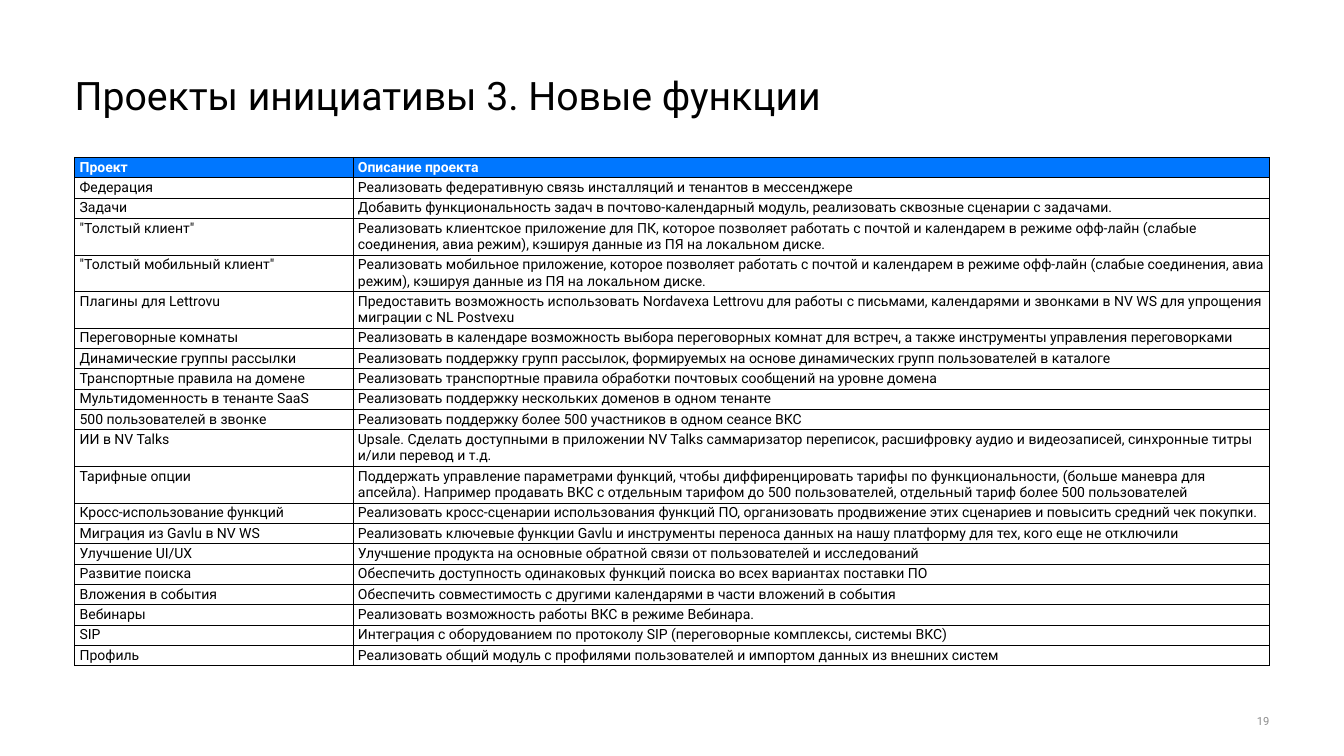
from lxml.etree import SubElement
from pptx import Presentation
from pptx.dml.color import RGBColor
from pptx.enum.text import MSO_ANCHOR, MSO_AUTO_SIZE, PP_ALIGN
from pptx.oxml.ns import qn
from pptx.util import Inches, Pt

BLACK = RGBColor(0x00, 0x00, 0x00)
WHITE = RGBColor(0xFF, 0xFF, 0xFF)
BLUE = RGBColor(0x00, 0x77, 0xFF)
GRAY = RGBColor(0x8C, 0x8C, 0x8C)

FRAME = {
    "margin_left": 0, "margin_top": 0, "margin_right": 0, "margin_bottom": 0,
    "word_wrap": True, "auto_size": MSO_AUTO_SIZE.NONE,
}
CELL = {
    "margin_left": Inches(0.05), "margin_right": Inches(0.05),
    "margin_top": Inches(0.02), "margin_bottom": Inches(0.02),
}
COLUMN_WIDTHS = [2.76, 9.09]
ROW_HEIGHT = 0.2
PROJECTS = [
    ("Проект", "Описание проекта"),
    ("Федерация", "Реализовать федеративную связь инсталляций и тенантов в мессенджере"),
    ("Задачи", "Добавить функциональность задач в почтово-календарный модуль, "
     "реализовать сквозные сценарии с задачами."),
    ('"Толстый клиент"', "Реализовать клиентское приложение для ПК, которое позволяет "
     "работать с почтой и календарем в режиме офф-лайн (слабые соединения, авиа режим), "
     "кэшируя данные из ПЯ на локальном диске."),
    ('"Толстый мобильный клиент"', "Реализовать мобильное приложение, которое позволяет "
     "работать с почтой и календарем в режиме офф-лайн (слабые соединения, авиа режим), "
     "кэшируя данные из ПЯ на локальном диске."),
    ("Плагины для Lettrovu", "Предоставить возможность использовать Nordavexa Lettrovu для "
     "работы с письмами, календарями и звонками в NV WS для упрощения миграции с NL Postvexu"),
    ("Переговорные комнаты", "Реализовать в календаре возможность выбора переговорных комнат "
     "для встреч, а также инструменты управления переговорками"),
    ("Динамические группы рассылки", "Реализовать поддержку групп рассылок, формируемых "
     "на основе динамических групп пользователей в каталоге"),
    ("Транспортные правила на домене", "Реализовать транспортные правила обработки "
     "почтовых сообщений на уровне домена"),
    ("Мультидоменность в тенанте SaaS", "Реализовать поддержку нескольких доменов в одном тенанте"),
    ("500 пользователей в звонке", "Реализовать поддержку более 500 участников в одном сеансе ВКС"),
    ("ИИ в NV Talks", "Upsale. Сделать доступными в приложении NV Talks саммаризатор переписок, "
     "расшифровку аудио и видеозаписей, синхронные титры и/или перевод и т.д."),
    ("Тарифные опции", "Поддержать управление параметрами функций, чтобы диффиренцировать тарифы "
     "по функциональности, (больше маневра для апсейла). Например продавать ВКС с отдельным "
     "тарифом до 500 пользователей, отдельный тариф более 500 пользователей"),
    ("Кросс-использование функций", "Реализовать кросс-сценарии использования функций ПО, "
     "организовать продвижение этих сценариев и повысить средний чек покупки."),
    ("Миграция из Gavlu в NV WS", "Реализовать ключевые функции Gavlu и инструменты переноса "
     "данных на нашу платформу для тех, кого еще не отключили"),
    ("Улучшение UI/UX", "Улучшение продукта на основные обратной связи от пользователей "
     "и исследований"),
    ("Развитие поиска", "Обеспечить доступность одинаковых функций поиска во всех вариантах "
     "поставки ПО"),
    ("Вложения в события", "Обеспечить совместимость с другими календарями в части вложений "
     "в события"),
    ("Вебинары", "Реализовать возможность работы ВКС в режиме Вебинара."),
    ("SIP", "Интеграция с оборудованием по протоколу SIP (переговорные комплексы, системы ВКС)"),
    ("Профиль", "Реализовать общий модуль с профилями пользователей и импортом данных "
     "из внешних систем"),
]


def write(holder, text, size, color, bold=False):
    para = holder.text_frame.paragraphs[0]
    span = para.add_run()
    span.text = text
    for name, value in {"name": "Roboto", "size": Pt(size), "bold": bold}.items():
        setattr(span.font, name, value)
    span.font.color.rgb = color
    return para


def add_borders(cell):
    properties = cell._tc.get_or_add_tcPr()
    for side in ("a:lnL", "a:lnR", "a:lnT", "a:lnB"):
        line = SubElement(properties, qn(side), w=str(Pt(0.5)))
        fill = SubElement(line, qn("a:solidFill"))
        SubElement(fill, qn("a:srgbClr"), val=str(BLACK))


deck = Presentation()
deck.slide_width, deck.slide_height = Inches(13.33), Inches(7.5)
page = deck.slides.add_slide(deck.slide_layouts[5])

title = page.shapes.title
title.left, title.top = Inches(0.74), Inches(0.76)
title.width, title.height = Inches(11.87), Inches(0.7)
number = page.shapes.add_textbox(Inches(12.37), Inches(6.95), Inches(0.22), Inches(0.4))
for box, anchor in ((title, MSO_ANCHOR.TOP), (number, MSO_ANCHOR.MIDDLE)):
    for name, value in FRAME.items():
        setattr(box.text_frame, name, value)
    box.text_frame.vertical_anchor = anchor

heading = write(title, "Проекты инициативы 3. Новые функции", 28, BLACK)
heading.alignment = PP_ALIGN.LEFT
heading.line_spacing = 0.9
write(number, "19", 8, GRAY).alignment = PP_ALIGN.RIGHT

table = page.shapes.add_table(
    len(PROJECTS), len(COLUMN_WIDTHS), Inches(0.74), Inches(1.56),
    Inches(sum(COLUMN_WIDTHS)), Inches(ROW_HEIGHT * len(PROJECTS)),
).table
table.first_row = False
table.horz_banding = False
for column, width in zip(table.columns, COLUMN_WIDTHS):
    column.width = Inches(width)

for row_index, project in enumerate(PROJECTS):
    is_header = row_index == 0
    table.rows[row_index].height = Inches(ROW_HEIGHT)
    for cell, text in zip(table.rows[row_index].cells, project):
        for name, value in CELL.items():
            setattr(cell, name, value)
        cell.vertical_anchor = MSO_ANCHOR.BOTTOM if is_header else MSO_ANCHOR.TOP
        write(cell, text, 10, WHITE if is_header else BLACK, is_header)
        add_borders(cell)
        if is_header:
            cell.fill.solid()
            cell.fill.fore_color.rgb = BLUE
        else:
            cell.fill.background()

deck.save("out.pptx")
